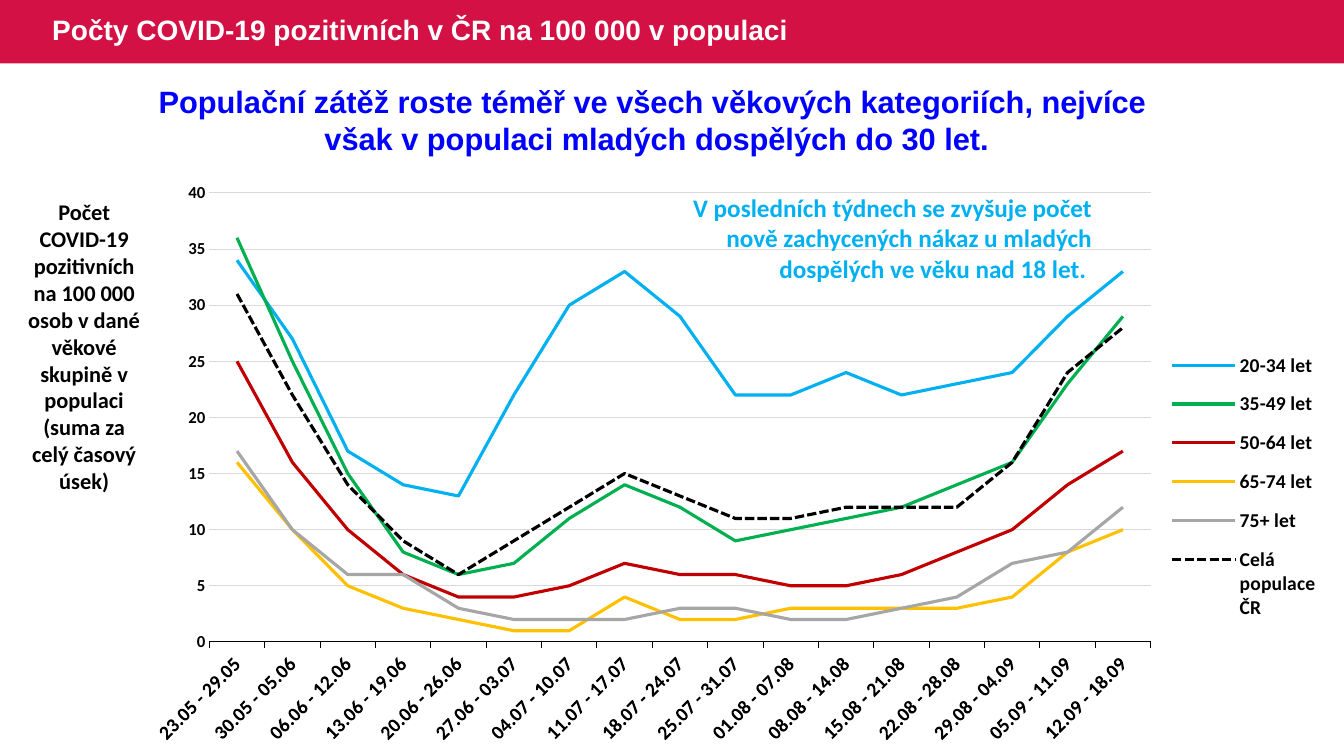
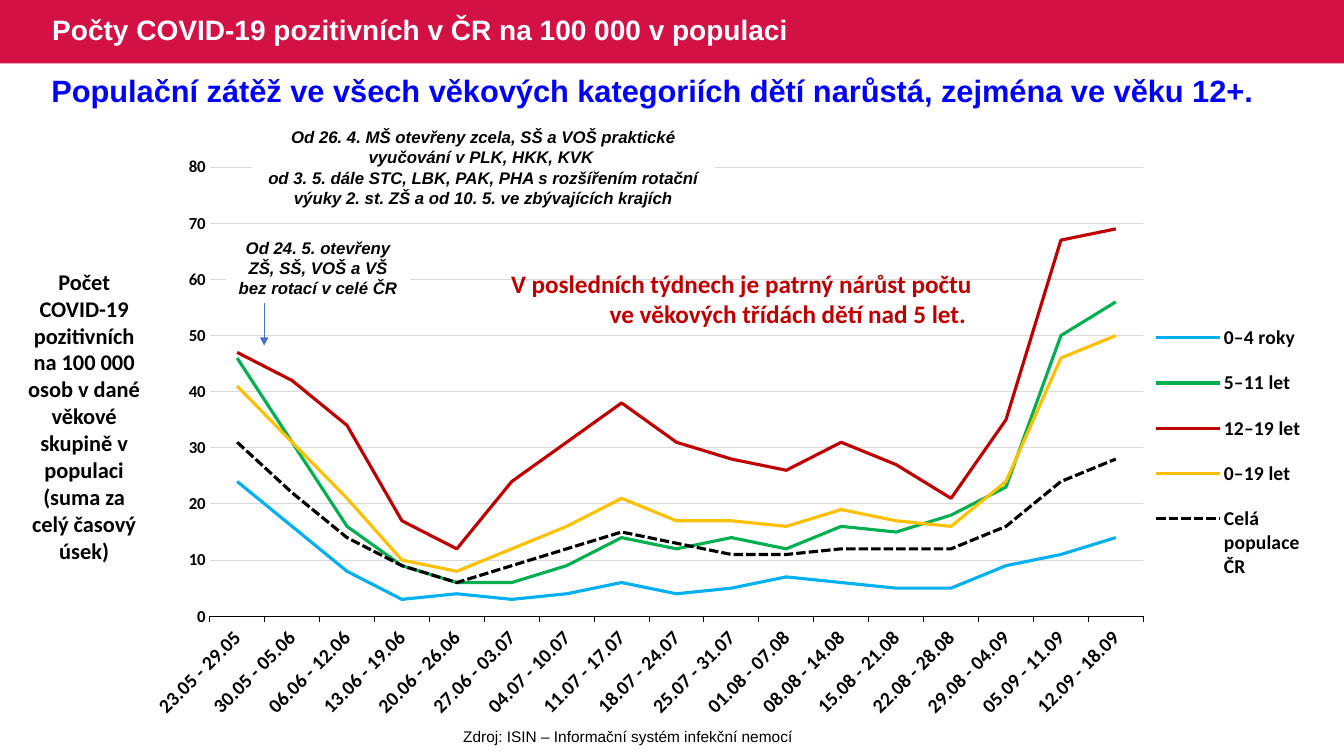
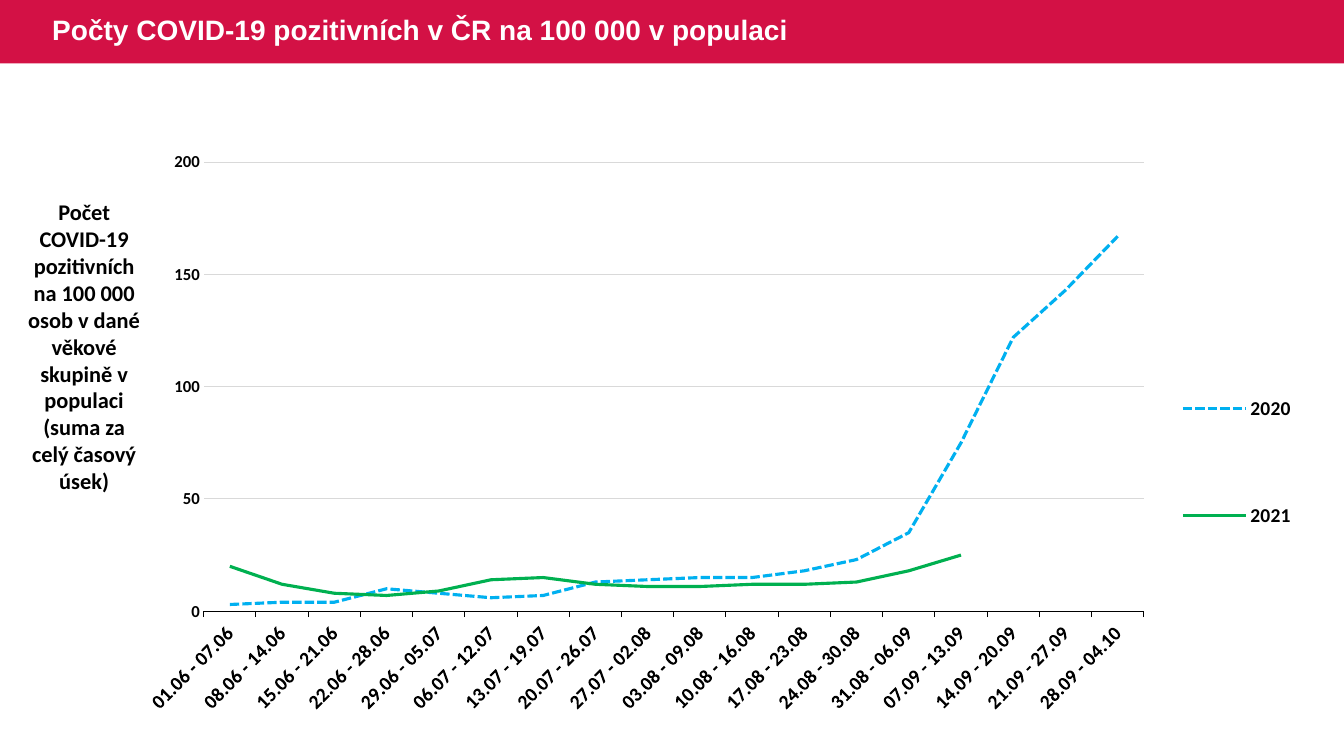
import pptx
import pptx.chart.data
import pptx.dml.color
import pptx.enum.chart
import pptx.enum.dml
import pptx.enum.shapes
import pptx.enum.text
import pptx.oxml
import pptx.oxml.ns
import pptx.util

Inches, Pt = pptx.util.Inches, pptx.util.Pt
qn = pptx.oxml.ns.qn
ALIGN = pptx.enum.text.PP_ALIGN
COLORS = {
    "band": "D31145", "head": "0000FF", "white": "FFFFFF", "black": "000000",
    "sky": "00B0F0", "green": "00B050", "red": "C00000", "gold": "FFC000",
    "gray": "A6A6A6", "grid": "D9D9D9", "arrow": "4472C4",
}
TITLE = "Počty COVID-19 pozitivních v ČR na 100 000 v populaci"
LABEL = ("Počet COVID-19 pozitivních na 100 000 osob v dané věkové "
         "skupině v populaci (suma za celý časový úsek)")
WEEKS = [
    "23.05 - 29.05", "30.05 - 05.06", "06.06 - 12.06", "13.06 - 19.06",
    "20.06 - 26.06", "27.06 - 03.07", "04.07 - 10.07", "11.07 - 17.07",
    "18.07 - 24.07", "25.07 - 31.07", "01.08 - 07.08", "08.08 - 14.08",
    "15.08 - 21.08", "22.08 - 28.08", "29.08 - 04.09", "05.09 - 11.09",
    "12.09 - 18.09",
]
SEASON = [
    "01.06 - 07.06", "08.06 - 14.06", "15.06 - 21.06", "22.06 - 28.06",
    "29.06 - 05.07", "06.07 - 12.07", "13.07 - 19.07", "20.07 - 26.07",
    "27.07 - 02.08", "03.08 - 09.08", "10.08 - 16.08", "17.08 - 23.08",
    "24.08 - 30.08", "31.08 - 06.09", "07.09 - 13.09", "14.09 - 20.09",
    "21.09 - 27.09", "28.09 - 04.10",
]
WHOLE = ("Celá populace ČR", "black", True,
         [31, 22, 14, 9, 6, 9, 12, 15, 13, 11, 11, 12, 12, 12, 16, 24, 28])
ADULTS = [
    ("20-34 let", "sky", False,
     [34, 27, 17, 14, 13, 22, 30, 33, 29, 22, 22, 24, 22, 23, 24, 29, 33]),
    ("35-49 let", "green", False,
     [36, 25, 15, 8, 6, 7, 11, 14, 12, 9, 10, 11, 12, 14, 16, 23, 29]),
    ("50-64 let", "red", False,
     [25, 16, 10, 6, 4, 4, 5, 7, 6, 6, 5, 5, 6, 8, 10, 14, 17]),
    ("65-74 let", "gold", False,
     [16, 10, 5, 3, 2, 1, 1, 4, 2, 2, 3, 3, 3, 3, 4, 8, 10]),
    ("75+ let", "gray", False,
     [17, 10, 6, 6, 3, 2, 2, 2, 3, 3, 2, 2, 3, 4, 7, 8, 12]),
    WHOLE,
]
KIDS = [
    ("0–4 roky", "sky", False,
     [24, 16, 8, 3, 4, 3, 4, 6, 4, 5, 7, 6, 5, 5, 9, 11, 14]),
    ("5–11 let", "green", False,
     [46, 31, 16, 9, 6, 6, 9, 14, 12, 14, 12, 16, 15, 18, 23, 50, 56]),
    ("12–19 let", "red", False,
     [47, 42, 34, 17, 12, 24, 31, 38, 31, 28, 26, 31, 27, 21, 35, 67, 69]),
    ("0–19 let", "gold", False,
     [41, 31, 21, 10, 8, 12, 16, 21, 17, 17, 16, 19, 17, 16, 24, 46, 50]),
    WHOLE,
]
YEARS = [
    ("2020", "sky", True,
     [3, 4, 4, 10, 8, 6, 7, 13, 14, 15, 15, 18, 23, 35, 75, 122, 143, 167]),
    ("2021", "green", False,
     [20, 12, 8, 7, 9, 14, 15, 12, 11, 11, 12, 12, 13, 18, 25, None, None, None]),
]


def rgb(name):
    """Return the named colour."""
    return pptx.dml.color.RGBColor.from_string(COLORS[name])


def style(font, size, color="black", face="Calibri", bold=True, slant=False):
    """Set the look of a font."""
    font.size, font.name, font.bold, font.italic = Pt(size), face, bold, slant
    font.color.rgb = rgb(color)


def write(slide, box, text, size, align=ALIGN.CENTER, fill=None, **look):
    """Place wrapped text in a box and return its shape."""
    shape = slide.shapes.add_textbox(*map(Inches, box))
    if fill:
        shape.fill.solid()
        shape.fill.fore_color.rgb = rgb(fill)
    frame = shape.text_frame
    frame.word_wrap = True
    frame.text = text
    for para in frame.paragraphs:
        para.alignment = align
        for run in para.runs:
            style(run.font, size, **look)
    return shape


def start(deck):
    """Add a slide with its title band."""
    slide = deck.slides.add_slide(deck.slide_layouts[6])
    band = slide.shapes.add_shape(
        pptx.enum.shapes.MSO_SHAPE.RECTANGLE, 0, 0, deck.slide_width, Inches(0.63))
    band.shadow.inherit = False
    band.fill.solid()
    band.fill.fore_color.rgb = rgb("band")
    band.line.fill.background()
    title = write(slide, (0.42, 0, 8.37, 0.63), TITLE, 20, ALIGN.LEFT,
                  color="white", face="Arial")
    title.text_frame.vertical_anchor = pptx.enum.text.MSO_ANCHOR.MIDDLE
    title.text_frame.paragraphs[0].line_spacing = 0.9
    return slide


def headline(slide, top, high, text):
    """Write the blue message under the band."""
    write(slide, (0.31, top, 12.41, high), text, 22, color="head", face="Arial")


def side(slide, top):
    """Write the value axis label left of the chart."""
    write(slide, (0.15, top, 1.37, 3.06), LABEL, 16)


def layout(box, inner=False):
    """Return a manual chart layout with shares of the chart size."""
    node = pptx.oxml.parse_xml(
        '<c:layout xmlns:c="http://schemas.openxmlformats.org/drawingml/2006/chart">'
        "<c:manualLayout/></c:layout>")
    parts = [("layoutTarget", "inner")] if inner else []
    parts += [("xMode", "edge"), ("yMode", "edge"), *zip("xywh", box)]
    for tag, value in parts:
        node[0].append(node.makeelement(qn("c:" + tag), {"val": str(value)}))
    return node


def clear(node):
    """Drop the present layout of a chart part."""
    for old in node.findall(qn("c:layout")):
        node.remove(old)


def graph(slide, left, top, weeks, rows, peak, step, plot, key):
    """Draw a line chart with its legend on the right."""
    data = pptx.chart.data.CategoryChartData(number_format="0")
    data.categories = weeks
    for name, _, _, values in rows:
        data.add_series(name, values)
    chart = slide.shapes.add_chart(
        pptx.enum.chart.XL_CHART_TYPE.LINE, Inches(left), Inches(top),
        Inches(11.66), Inches(5.87), data).chart
    style(chart.font, 14)
    chart.has_title = False
    lines = chart.plots[0]
    lines.vary_by_categories = False
    for series, (_, color, dashed, _) in zip(lines.series, rows):
        series.smooth = False
        series.marker.style = pptx.enum.chart.XL_MARKER_STYLE.NONE
        line = series.format.line
        line.width = Pt(2.25)
        line.color.rgb = rgb(color)
        if dashed:
            line.dash_style = pptx.enum.dml.MSO_LINE.SQUARE_DOT

    marks = pptx.enum.chart.XL_TICK_MARK
    across, up = chart.category_axis, chart.value_axis
    style(across.tick_labels.font, 14)
    turn = across._element.find(qn("c:txPr")).find(qn("a:bodyPr"))
    turn.set("rot", "-2700000")
    turn.set("vert", "horz")
    across.major_tick_mark = marks.OUTSIDE
    style(up.tick_labels.font, 12)
    up.major_tick_mark = marks.NONE
    up.minimum_scale, up.maximum_scale, up.major_unit = 0, peak, step
    up.format.line.fill.background()
    for edge, color in ((across.format.line, "black"),
                        (up.major_gridlines.format.line, "grid")):
        edge.color.rgb = rgb(color)
        edge.width = Pt(0.75)

    chart.has_legend = True
    legend = chart.legend
    legend.position = pptx.enum.chart.XL_LEGEND_POSITION.RIGHT
    legend.include_in_layout = False
    style(legend.font, 14)
    area, root = lines._element.getparent(), legend._element
    clear(area)
    area.insert(0, layout(plot, True))
    clear(root)
    root.find(qn("c:legendPos")).addnext(layout(key))


def arrow(slide, left, top, end):
    """Draw a thin arrow pointing down."""
    link = slide.shapes.add_connector(
        pptx.enum.shapes.MSO_CONNECTOR.STRAIGHT,
        *map(Inches, (left, top, left, end)))
    link.line.width = Pt(0.5)
    link.line.color.rgb = rgb("arrow")
    props = link._element.spPr
    line = props.find(qn("a:ln"))
    line.append(line.makeelement(qn("a:tailEnd"), {"type": "triangle"}))
    props.append(props.makeelement(qn("a:effectLst"), {}))


def adults(deck):
    """Build the slide on adult age groups."""
    slide = start(deck)
    graph(slide, 1.52, 1.75, WEEKS, ADULTS, 40, 5,
          (0.045, 0.028, 0.803, 0.759), (0.86, 0.274, 0.135, 0.5))
    side(slide, 1.92)
    headline(slide, 0.77, 0.84,
             "Populační zátěž roste téměř ve všech věkových kategoriích, nejvíce \n"
             "však v populaci mladých dospělých do 30 let.")
    write(slide, (6.67, 1.86, 4.26, 1.31),
          "V posledních týdnech se zvyšuje počet nově zachycených nákaz "
          "u mladých dospělých ve věku nad 18 let. ", 18, ALIGN.RIGHT, color="sky")


def kids(deck):
    """Build the slide on children's age groups."""
    slide = start(deck)
    write(slide, (2.36, 7.16, 7.74, 0.29),
          "Zdroj: ISIN – Informační systém infekční nemocí", 11,
          face="Arial", bold=False)
    graph(slide, 1.52, 1.53, WEEKS, KIDS, 80, 10,
          (0.047, 0.022, 0.795, 0.759), (0.847, 0.254, 0.135, 0.5))
    side(slide, 2.61)
    headline(slide, 0.66, 0.47,
             "Populační zátěž ve všech věkových kategoriích dětí narůstá, "
             "zejména ve věku 12+. ")
    write(slide, (4.91, 2.61, 4.83, 1.06),
          "V posledních týdnech je patrný nárůst počtu ve věkových třídách "
          "dětí nad 5 let. ", 18, ALIGN.RIGHT, color="red")
    notes = [
        ((2.5, 1.21, 4.59, 0.91),
         "Od 26. 4. MŠ otevřeny zcela, SŠ a VOŠ praktické vyučování "
         "v PLK, HKK, KVK \vod 3. 5. dále STC, LBK, PAK, PHA s rozšířením "
         "rotační výuky 2. st. ZŠ a od 10. 5. ve zbývajících krajích"),
        ((2.24, 2.31, 1.83, 0.71),
         "Od 24. 5. otevřeny ZŠ, SŠ, VOŠ a VŠ bez rotací v celé ČR"),
    ]
    for box, text in notes:
        write(slide, box, text, 12, fill="white", face="Arial", slant=True)
    arrow(slide, 2.62, 3.01, 3.43)


def years(deck):
    """Build the slide comparing two years."""
    slide = start(deck)
    graph(slide, 1.45, 1.51, SEASON, YEARS, 200, 50,
          (0.045, 0.017, 0.803, 0.759), (0.86, 0.274, 0.135, 0.5))
    side(slide, 1.92)


def main():
    """Build and save the deck."""
    deck = pptx.Presentation()
    deck.slide_width, deck.slide_height = Inches(13.33), Inches(7.5)
    for build in (adults, kids, years):
        build(deck)
    deck.save("out.pptx")


if __name__ == "__main__":
    main()
